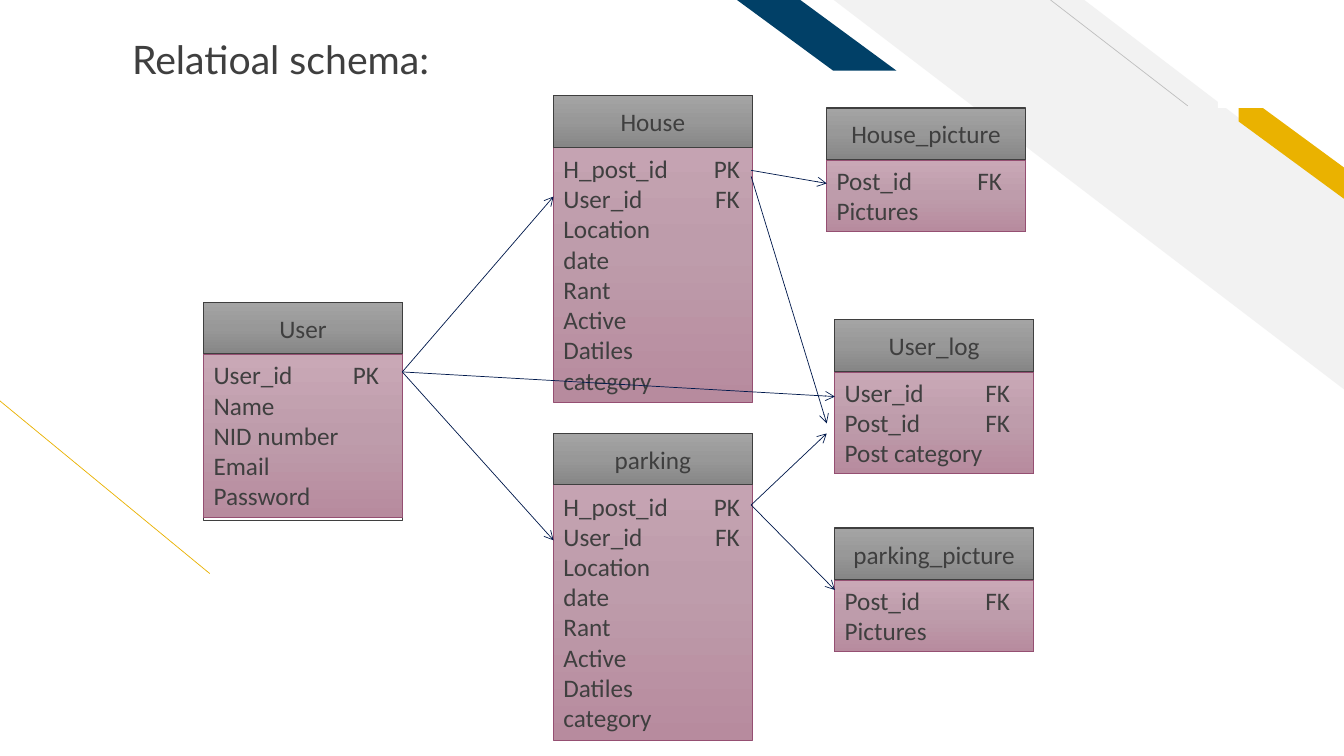
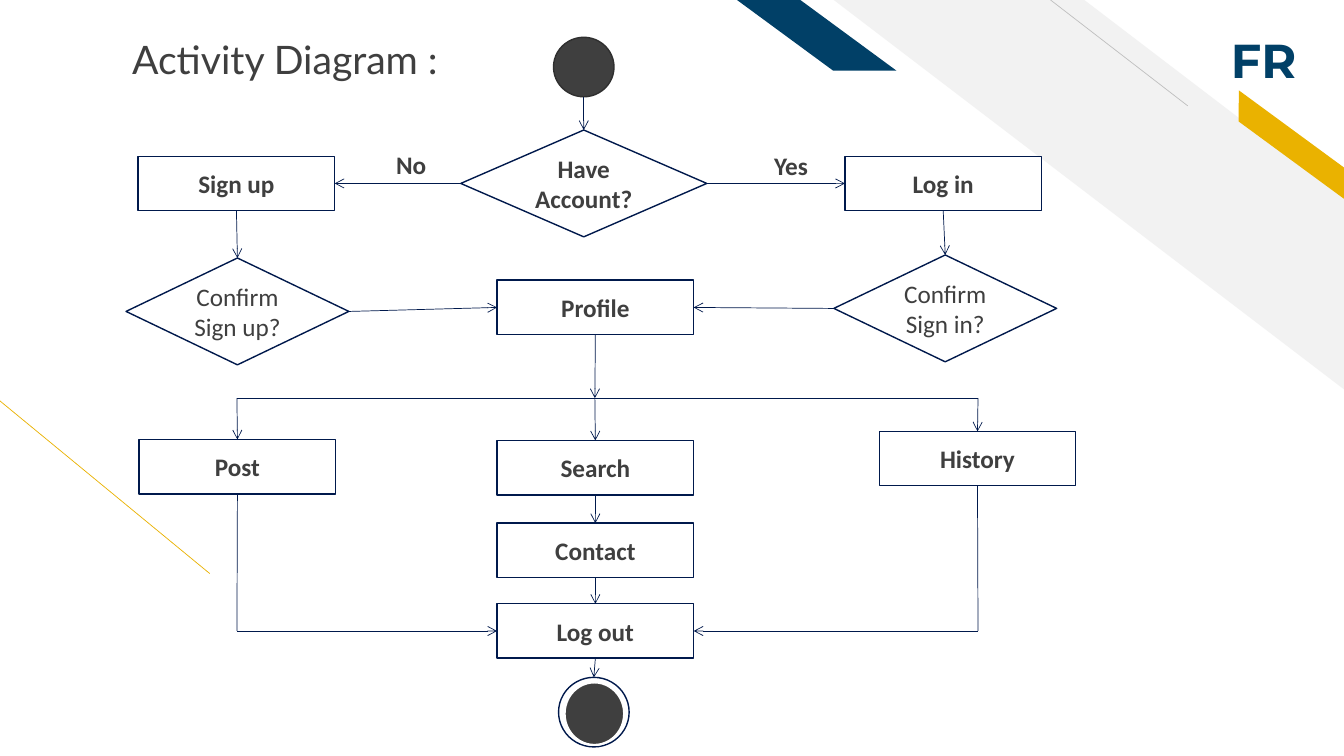
from lxml.etree import SubElement
from pptx import Presentation
from pptx.dml.color import RGBColor
from pptx.enum.shapes import MSO_CONNECTOR, MSO_SHAPE
from pptx.enum.text import MSO_ANCHOR, MSO_AUTO_SIZE, PP_ALIGN
from pptx.oxml.ns import qn
from pptx.util import Inches, Pt

COLORS = {
    "white": "FFFFFF", "ink": "3F3F3F", "ink_edge": "2F2F2F", "navy": "00194C",
    "blue": "014067", "gold": "EAB200", "pale": "F2F2F2", "hairline": "BFBFBF",
    "plum": "954F72",
}
GRADIENTS = {
    "gray": ("A4A4A4", "989898", "868686"),
    "rose": ("C9A8B6", "BE9CAB", "B78B9E"),
}
TOP, LEFT, BOTTOM, RIGHT = range(4)


def rgb(name):
    return RGBColor.from_string(COLORS[name])


class Deck:
    """Holds the shared style and the slide being drawn."""

    def __init__(self):
        self.prs = Presentation()
        self.prs.slide_width, self.prs.slide_height = Inches(13.33), Inches(7.5)
        self.layout = self.prs.slide_layouts.get_by_name("Title Only")
        self.slide = None

    def new_slide(self, title):
        first = self.slide is None
        self.slide = self.prs.slides.add_slide(self.layout)
        if first:
            self.decorate_layout()
        heading = self.slide.shapes.title
        heading.left, heading.top = Inches(1.21), Inches(0.3)
        heading.width, heading.height = Inches(3.28), Inches(0.57)
        self.set_text(heading, [title], size=28, font="Lato", align=PP_ALIGN.LEFT,
                      anchor=MSO_ANCHOR.TOP, wrap=False)

    def decorate_layout(self):
        """Draws the bands once and hands them to the layout."""
        bands = [
            self.line((2.08, 5.69), (-0.01, 3.97), "gold", arrow=False),
            self.band(MSO_SHAPE.DIAGONAL_STRIPE, 8.27, 0, 5.07, 3.87, "pale", 0.51),
            self.line((11.78, 1.05), (10.42, 0), "hairline", arrow=False),
            self.band(MSO_SHAPE.PARALLELOGRAM, 12.07, 1.31, 1.48, 0.25, "gold", 0.72, 36.3),
            self.band(MSO_SHAPE.PARALLELOGRAM, 7.31, 0, 1.58, 0.7, "blue", 1.36),
        ]
        for number, band in enumerate(bands, start=101):
            band.element.find(".//" + qn("p:cNvPr")).set("id", str(number))
            self.layout.shapes.element.append(band.element)

    def band(self, kind, left, top, width, height, fill, slant, turn=0):
        band = self.shape(kind, left, top, width, height, fill)
        band.adjustments[0] = slant
        band.rotation = turn
        band.element.spPr.find(qn("a:xfrm")).set("flipH", "1")
        return band

    def shape(self, kind, left, top, width, height, fill, edge=None, weight=1):
        shape = self.slide.shapes.add_shape(
            kind, Inches(left), Inches(top), Inches(width), Inches(height))
        shape.shadow.inherit = False
        if fill in GRADIENTS:
            self.shade(shape, GRADIENTS[fill])
        else:
            shape.fill.solid()
            shape.fill.fore_color.rgb = rgb(fill)
        if edge:
            shape.line.color.rgb = rgb(edge)
            shape.line.width = Pt(weight)
        else:
            shape.line.fill.background()
        return shape

    def shade(self, shape, stops):
        """Three-stop gradient from top to bottom."""
        shape.fill.gradient()
        shape.fill.gradient_angle = 270
        stop_list = shape.element.spPr.find(".//" + qn("a:gsLst"))
        for old in list(stop_list):
            stop_list.remove(old)
        for place, color in zip((0, 50000, 100000), stops):
            stop = SubElement(stop_list, qn("a:gs"), pos=str(place))
            SubElement(stop, qn("a:srgbClr"), val=color)

    def set_text(self, shape, lines, size=18, font="Calibri", color="ink", bold=False,
                 align=PP_ALIGN.CENTER, anchor=MSO_ANCHOR.MIDDLE, wrap=True, tab=None):
        frame = shape.text_frame
        frame.word_wrap = wrap
        frame.auto_size = MSO_AUTO_SIZE.NONE
        frame.vertical_anchor = anchor
        for index, line in enumerate(lines):
            paragraph = frame.add_paragraph() if index else frame.paragraphs[0]
            paragraph.alignment = align
            if tab and "\t" in line:
                tabs = SubElement(paragraph._p.get_or_add_pPr(), qn("a:tabLst"))
                SubElement(tabs, qn("a:tab"), pos=str(Inches(tab)), algn="r")
            run = paragraph.add_run()
            run.text = line
            run.font.size, run.font.name, run.font.bold = Pt(size), font, bold
            run.font.color.rgb = rgb(color)

    def text(self, left, top, width, height, lines, **style):
        box = self.slide.shapes.add_textbox(
            Inches(left), Inches(top), Inches(width), Inches(height))
        self.set_text(box, lines, align=PP_ALIGN.LEFT, anchor=MSO_ANCHOR.TOP, **style)

    def line(self, start, end, color="navy", arrow=True):
        """Each end is an (x, y) point or a (shape, side) pair."""
        def is_point(place):
            return isinstance(place[0], (int, float))

        points = [place if is_point(place) else (0, 0) for place in (start, end)]
        line = self.slide.shapes.add_connector(
            MSO_CONNECTOR.STRAIGHT, *(Inches(v) for point in points for v in point))
        if not is_point(start):
            line.begin_connect(*start)
        if not is_point(end):
            line.end_connect(*end)
        line.line.color.rgb = rgb(color)
        line.line.width = Pt(0.5)
        properties = line.element.spPr
        if arrow:
            SubElement(properties.find(qn("a:ln")), qn("a:tailEnd"), type="arrow")
        SubElement(properties, qn("a:effectLst"))
        return line

    def entity(self, name, left, top, fields, one_panel=False, spare=0):
        """Schema table: frame, header and field list."""
        width, header, body_top = 1.97, 0.51, top + 0.52
        body = 0.1 + 0.303 * len(fields)
        panel = ("rose", "plum", 0.5)
        frame = self.shape(MSO_SHAPE.RECTANGLE, left, top, width, 0.52 + body + spare,
                           *(panel if one_panel else ("white", "ink", 1)))
        head = self.shape(MSO_SHAPE.RECTANGLE, left, top, width, header, "gray", "ink", 0.5)
        self.set_text(head, [name])
        if one_panel:
            self.text(left, body_top, width, body, fields, tab=1.75)
        else:
            listing = self.shape(MSO_SHAPE.RECTANGLE, left, body_top, width, body, *panel)
            self.set_text(listing, fields, align=PP_ALIGN.LEFT, anchor=MSO_ANCHOR.TOP, tab=1.64)
        return frame

    def step(self, label, left, top):
        box = self.shape(MSO_SHAPE.RECTANGLE, left, top, 1.95, 0.54, "white", "navy")
        self.set_text(box, [label], bold=True)
        return box

    def decision(self, label, left, top, width=2.21, bold=False):
        diamond = self.shape(MSO_SHAPE.DIAMOND, left, top, width, 1.06, "white", "navy")
        self.set_text(diamond, [label], bold=bold)
        return diamond


def relational_schema(deck):
    deck.new_slide("Relatioal schema:")

    # Tables
    post_fields = ["H_post_id\tPK", "User_id\tFK", "Location", "date", "Rant",
                   "Active", "Datiles", "category"]
    picture_fields = ["Post_id\tFK", "Pictures"]
    deck.entity("User", 2.02, 3, ["User_id\tPK", "Name", "NID number", "Email", "Password"],
                spare=0.03)
    deck.entity("House", 5.49, 0.95, post_fields, one_panel=True)
    deck.entity("parking", 5.49, 4.3, post_fields, one_panel=True)
    user_log = deck.entity("User_log", 8.28, 3.17,
                           ["User_id\tFK", "Post_id\tFK", "Post category"])
    deck.entity("House_picture", 8.2, 1.07, picture_fields)
    parking_picture = deck.entity("parking_picture", 8.28, 5.24, picture_fields)

    # Key references
    user_key, parking_key = (3.99, 3.69), (7.45, 5.01)
    for start, end in [
        (user_key, (5.49, 1.95)),
        (user_key, (5.49, 5.36)),
        (user_key, (user_log, LEFT)),
        ((7.45, 1.69), (8.2, 1.82)),
        ((7.45, 1.75), (8.2, 4.2)),
        (parking_key, (8.2, 4.3)),
        (parking_key, (parking_picture, LEFT)),
    ]:
        deck.line(start, end)

    # White corner over the gold band
    deck.shape(MSO_SHAPE.RECTANGLE, 12.08, 0.07, 1, 1, "white")


def activity_diagram(deck):
    deck.new_slide("Activity Diagram :")
    deck.text(12.11, 0.26, 0.89, 0.67, ["FR"], size=34, font="Montserrat",
              color="blue", bold=True, wrap=False)

    # Account check
    deck.shape(MSO_SHAPE.OVAL, 5.49, 0.37, 0.6, 0.59, "ink", "ink_edge")
    have_account = deck.decision("Have Account?", 4.57, 1.29, 2.44, bold=True)
    log_in = deck.step("Log in", 8.38, 1.55)
    sign_up = deck.step("Sign up", 1.37, 1.55)
    confirm_sign_up = deck.decision("Confirm Sign up?", 1.25, 2.56)
    confirm_sign_in = deck.decision("Confirm Sign in?", 8.27, 2.53)
    deck.text(3.83, 1.43, 0.5, 0.4, ["No"], bold=True, wrap=False)
    deck.text(7.58, 1.44, 0.54, 0.4, ["Yes"], bold=True, wrap=False)

    # Profile actions
    center = 4.93
    profile = deck.step("Profile", center, 2.78)
    post = deck.step("Post", 1.38, 4.36)
    history = deck.step("History", 8.72, 4.28)
    search = deck.step("Search", center, 4.37)
    contact = deck.step("Contact", center, 5.19)
    log_out = deck.step("Log out", center, 5.99)

    # End mark
    end_ring = deck.shape(MSO_SHAPE.OVAL, 5.54, 6.72, 0.7, 0.69, "white", "navy")
    deck.shape(MSO_SHAPE.OVAL, 5.6, 6.77, 0.59, 0.62, "ink", "white", 1.5)

    # Flow arrows
    post_x, middle_x, history_x = 2.35, 5.9, 9.7
    fork_y, join_y = 3.95, 6.26
    for origin, target in [
        ((5.79, 0.96), (have_account, TOP)),
        ((have_account, LEFT), (sign_up, RIGHT)),
        ((have_account, RIGHT), (log_in, LEFT)),
        ((log_in, BOTTOM), (confirm_sign_in, TOP)),
        ((sign_up, BOTTOM), (confirm_sign_up, TOP)),
        ((confirm_sign_up, RIGHT), (profile, LEFT)),
        ((confirm_sign_in, LEFT), (profile, RIGHT)),
        ((profile, BOTTOM), (middle_x, fork_y)),
        ((post_x, fork_y), (post, TOP)),
        ((middle_x, fork_y), (search, TOP)),
        ((history_x, fork_y), (history, TOP)),
        ((search, BOTTOM), (contact, TOP)),
        ((contact, BOTTOM), (log_out, TOP)),
        ((post_x, join_y), (log_out, LEFT)),
        ((history_x, join_y), (log_out, RIGHT)),
        ((log_out, BOTTOM), (end_ring, TOP)),
    ]:
        deck.line(origin, target)

    # Plain lines of the fork and the join
    for origin, target in [
        ((post_x, fork_y), (history_x, fork_y)),
        ((post, BOTTOM), (post_x, join_y)),
        ((history, BOTTOM), (history_x, join_y)),
    ]:
        deck.line(origin, target, arrow=False)


def main():
    deck = Deck()
    relational_schema(deck)
    activity_diagram(deck)
    deck.prs.save("out.pptx")


if __name__ == "__main__":
    main()
